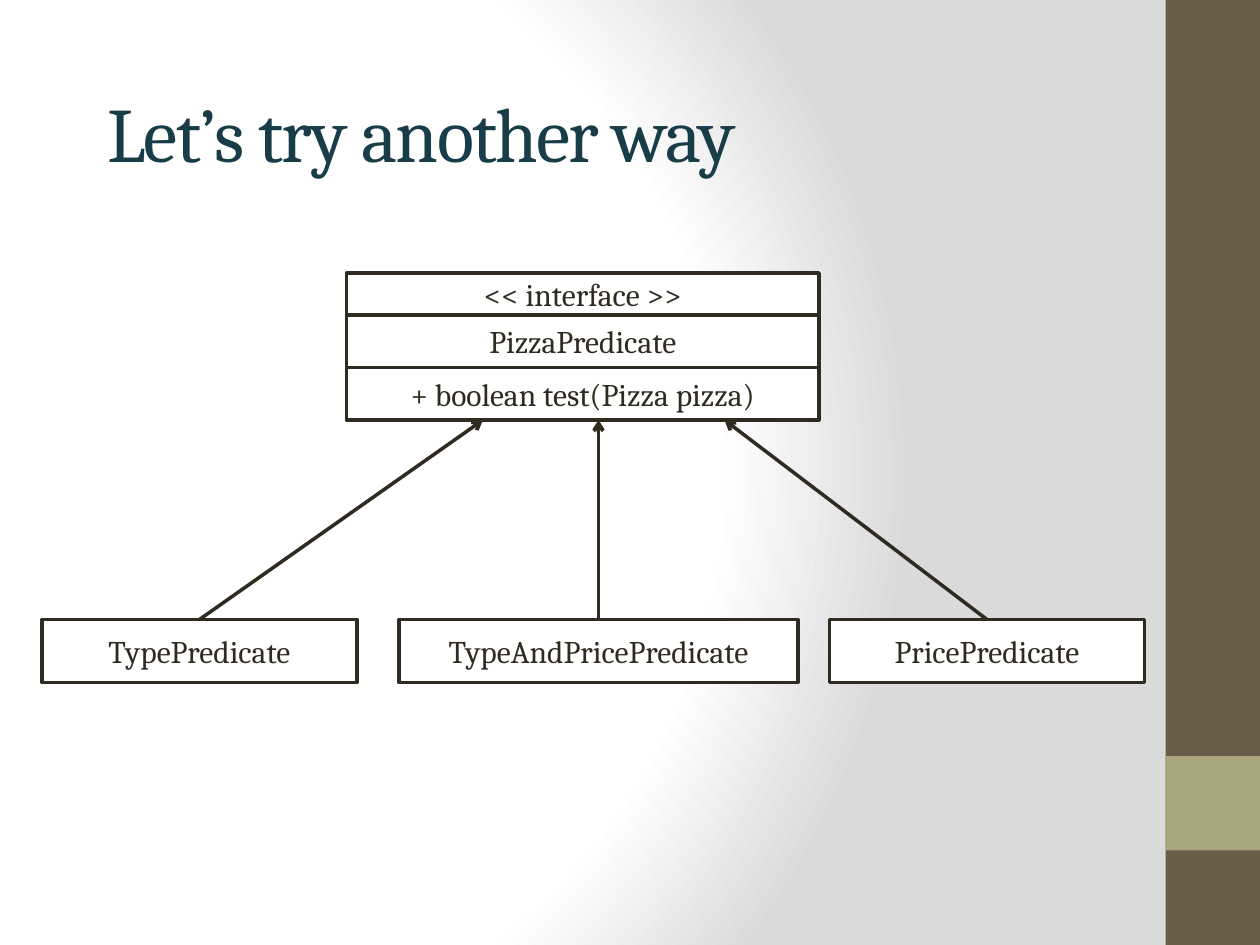
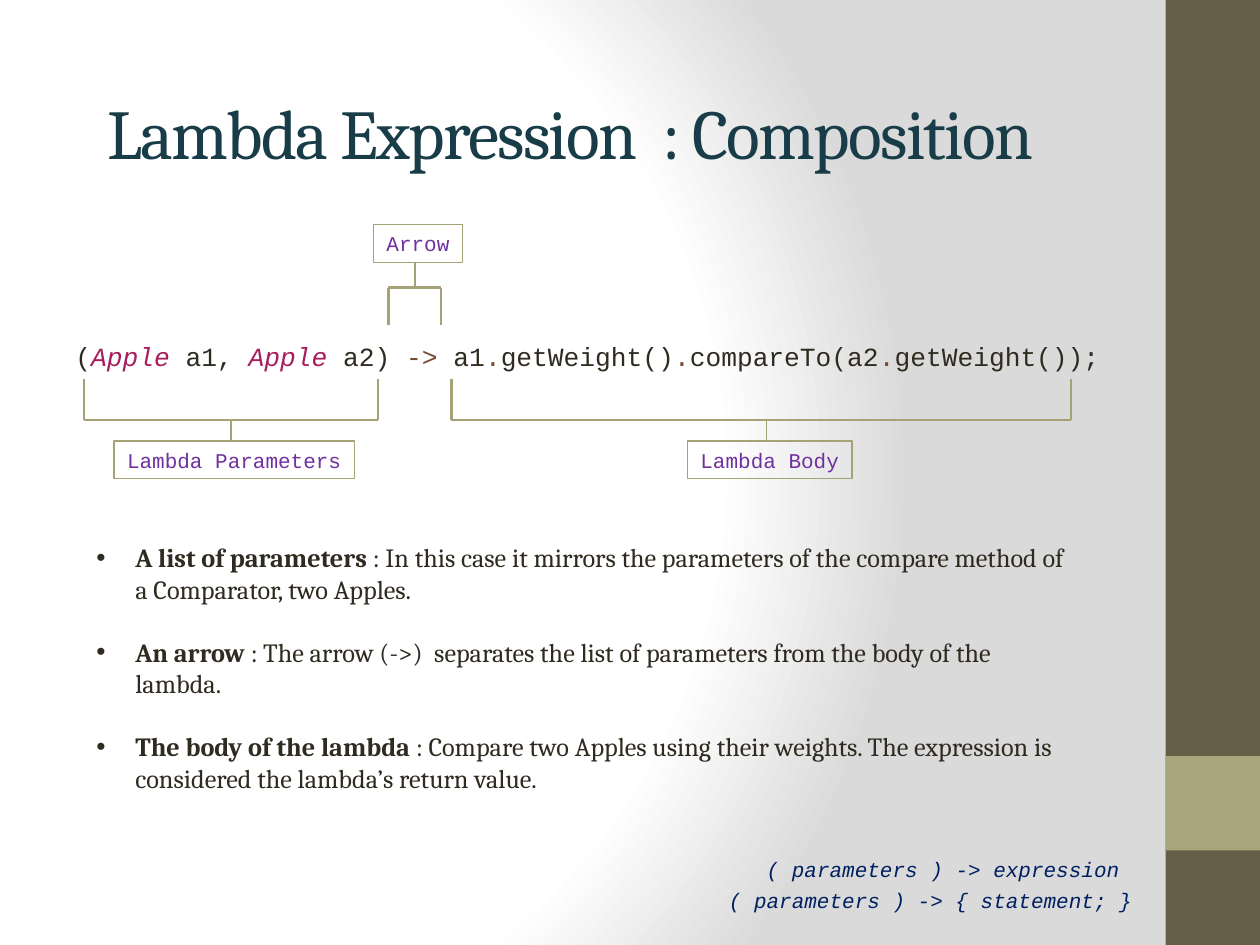
from lxml.etree import SubElement as Sub
from pptx import Presentation
from pptx.dml.color import RGBColor as Rgb
from pptx.enum.shapes import MSO_CONNECTOR as Link, MSO_SHAPE as Form
from pptx.enum.text import MSO_ANCHOR as Anchor, MSO_AUTO_SIZE as Fit, PP_ALIGN as Align
from pptx.oxml import parse_xml
from pptx.oxml.ns import nsdecls, qn
from pptx.util import Inches, Pt

INK, TEAL, WHITE = "2F2B20", "183D48", "FFFFFF"
BROWN, SAGE, OLIVE = "675E47", "A9A57C", "A6A278"
PINK, RUST, PLUM, NAVY = "A71D5D", "794938", "7030A0", "002060"
SERIF, MONO = "Cambria", "Courier New"
COLS, ROWS = 120, 90


def hue(code):
    return Rgb.from_string(code)


def unit(n):
    return Inches(n / 12)


class Deck:
    """Holds the style and the current slide, on a grid of twelve cells to the inch."""

    def __init__(self):
        self.prs = Presentation()
        self.prs.slide_width, self.prs.slide_height = unit(COLS), unit(ROWS)
        self.glow()

    def glow(self):
        master = self.prs.slide_master
        master.background.fill.solid()
        old = master.element.xpath(".//p:bgPr/a:solidFill")[0]
        stops = "".join(
            f'<a:gs pos="{pos * 1000}"><a:srgbClr val="{code}"/></a:gs>'
            for pos, code in ((0, WHITE), (75, WHITE), (100, "DADADA")))
        old.getparent().replace(old, parse_xml(
            f'<a:gradFill {nsdecls("a")} rotWithShape="1"><a:gsLst>{stops}</a:gsLst>'
            '<a:path path="circle"><a:fillToRect l="20000" t="50000" '
            'r="100000" b="50000"/></a:path></a:gradFill>'))

    def page(self, title, size):
        self.slide = self.prs.slides.add_slide(self.prs.slide_layouts[5])
        self.box(111, 0, 9, ROWS, BROWN)
        self.box(111, 72, 9, 9, SAGE)
        head = self.slide.shapes.title
        head.left, head.top, head.width, head.height = map(unit, (9, 5, 100, 15))
        frame = head.text_frame
        frame.auto_size, frame.vertical_anchor = Fit.NONE, Anchor.MIDDLE
        self.put(frame, [[(title, {})]], size, TEAL)
        for run in frame.paragraphs[0].runs:
            run._r.get_or_add_rPr().set("spc", "-100")

    def put(self, frame, lines, size, color=INK, font=SERIF, align=Align.LEFT, gap=0):
        for i, line in enumerate(lines):
            para = frame.add_paragraph() if i else frame.paragraphs[0]
            para.alignment = align
            para.space_before = Pt(gap if i else 0)
            for words, style in line:
                run = para.add_run()
                run.text = words
                look = run.font
                look.name, look.size = font, Pt(size)
                look.bold = style.get("bold", False)
                look.italic = style.get("italic", False)
                look.color.rgb = hue(style.get("color", color))

    def box(self, x, y, w, h, fill=None, line=None, width=2):
        shape = self.slide.shapes.add_shape(Form.RECTANGLE, *map(unit, (x, y, w, h)))
        shape.shadow.inherit = False
        if fill:
            shape.fill.solid()
            shape.fill.fore_color.rgb = hue(fill)
        else:
            shape.fill.background()
        if line:
            shape.line.color.rgb, shape.line.width = hue(line), Pt(width)
        else:
            shape.line.fill.background()
        return shape

    def node(self, x, y, w, h, words):
        frame = self.box(x, y, w, h, WHITE, INK).text_frame
        frame.vertical_anchor = Anchor.MIDDLE
        self.put(frame, [[(words, {})]], 18, align=Align.CENTER)

    def tag(self, mid, y, words):
        wide = 1.2 * len(words) + 2.5
        frame = self.box(mid - wide / 2, y, wide, 3.6, line=OLIVE, width=0.75).text_frame
        frame.word_wrap, frame.vertical_anchor = False, Anchor.TOP
        self.put(frame, [[(words, {})]], 12, PLUM, MONO, Align.CENTER)

    def text(self, x, y, w, h, lines, size, **style):
        frame = self.slide.shapes.add_textbox(*map(unit, (x, y, w, h))).text_frame
        frame.word_wrap = True
        self.put(frame, lines, size, **style)
        return frame

    def line(self, x, y, end_x, end_y, color=OLIVE, width=1.5, arrow=False):
        link = self.slide.shapes.add_connector(
            Link.STRAIGHT, *map(unit, (x, y, end_x, end_y)))
        link.line.color.rgb, link.line.width = hue(color), Pt(width)
        if arrow:
            Sub(link.line._get_or_add_ln(), qn("a:tailEnd"), type="arrow")
        Sub(link._element.spPr, qn("a:effectLst"))

    def brace(self, left, right, base, tip, stem, end, words):
        for x in (left, right):
            self.line(x, tip, x, base)
        self.line(left, base, right, base)
        self.line(stem, base, stem, end, width=1)
        self.tag(stem + 0.3, end if end > base else end - 3.6, words)

    def bullet(self, frame):
        for para in frame.paragraphs:
            props = para._p.get_or_add_pPr()
            props.set("marL", str(Inches(0.31)))
            props.set("indent", str(-Inches(0.31)))
            Sub(props, qn("a:buFont"), typeface="Arial")
            Sub(props, qn("a:buChar"), char="•")


def classes(deck):
    deck.page("Let’s try another way", 44)
    for y, h, words in ((30, 5, "PizzaPredicate"), (35, 5, "+ boolean test(Pizza pizza)"),
                        (26, 4, "<< interface >>")):
        deck.node(33, y, 45, h, words)
    for x, w, start, end, words in ((4, 30, 19, 46, "TypePredicate"),
                                    (38, 38, 57, 57, "TypeAndPricePredicate"),
                                    (79, 30, 94, 69, "PricePredicate")):
        deck.node(x, 59, w, 6, words)
        deck.line(start, 59, end, 40, INK, 2, arrow=True)


def syntax(deck):
    deck.page("Lambda Expression  : Composition", 40)
    kind, mark, bold = {"color": PINK, "italic": True}, {"color": RUST}, {"bold": True}
    code = [("(", {}), ("Apple", kind), (" a1, ", {}), ("Apple", kind), (" a2) ", {}),
            ("->", mark), (" a1", {}), (".", mark), ("getWeight()", {}), (".", mark),
            ("compareTo(a2", {}), (".", mark), ("getWeight());", {})]
    deck.text(6, 31.8, 102, 4.2, [code], 15, font=MONO)
    deck.brace(8, 36, 40, 36.1, 22, 42, "Lambda Parameters")
    deck.brace(43, 102, 40, 36.1, 73, 42, "Lambda Body")
    deck.brace(37, 42, 27.4, 31, 39.5, 25, "Arrow")
    parts = (
        ("A list of parameters", " : In this case it mirrors the parameters of the "
         "compare method of a Comparator, two Apples."),
        ("An arrow", " : The arrow (->)  separates the list of parameters from "
         "the body of the lambda."),
        ("The body of the lambda", " : Compare two Apples using their weights. "
         "The expression is considered the lambda’s return value."))
    lines = [[(name, bold), (rest, {})] for name, rest in parts]
    deck.bullet(deck.text(8, 51, 95, 25.4, lines, 15, gap=18))
    forms = ("( parameters ) -> expression ", "( parameters ) -> { statement; }")
    deck.text(12, 81, 97, 8, [[(form, {"italic": True})] for form in forms], 12,
              color=NAVY, font=MONO, align=Align.RIGHT, gap=3.5)


def main():
    deck = Deck()
    classes(deck)
    syntax(deck)
    deck.prs.save("out.pptx")


if __name__ == "__main__":
    main()
